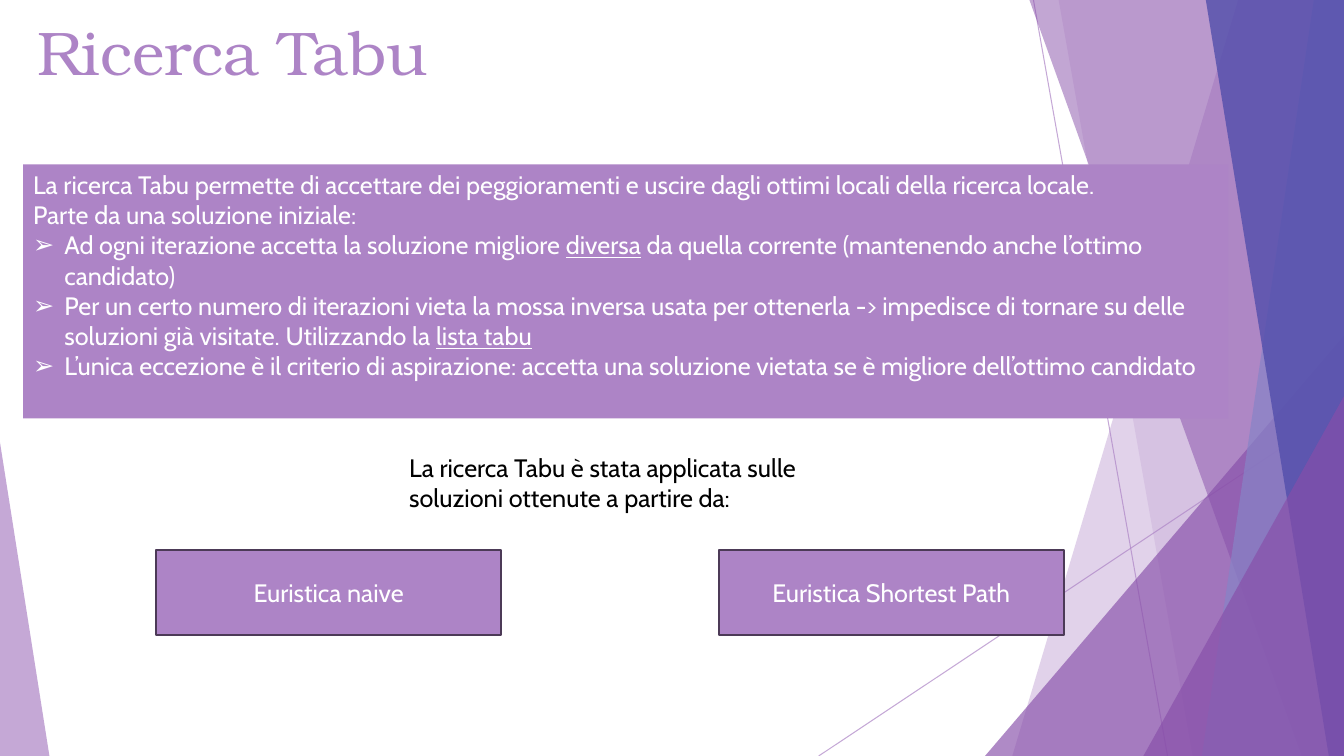
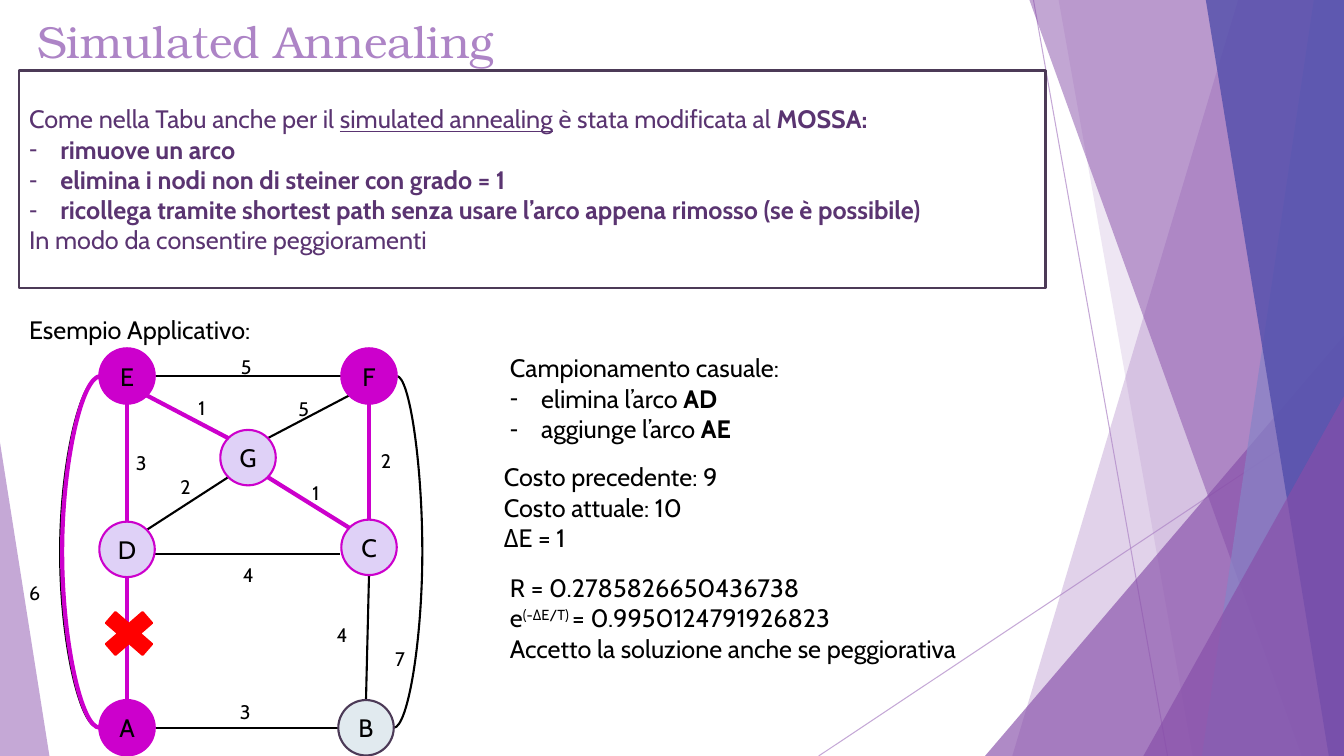
from lxml import etree
from pptx import Presentation
from pptx.dml.color import RGBColor
from pptx.enum.shapes import MSO_CONNECTOR, MSO_SHAPE
from pptx.enum.text import MSO_ANCHOR, MSO_AUTO_SIZE, PP_ALIGN
from pptx.oxml.ns import qn
from pptx.util import Inches, Pt

RECT, OVAL = MSO_SHAPE.RECTANGLE, MSO_SHAPE.OVAL
TRIANGLE, CROSS = MSO_SHAPE.ISOSCELES_TRIANGLE, MSO_SHAPE.MATH_MULTIPLY
STRAIGHT, CURVE = MSO_CONNECTOR.STRAIGHT, MSO_CONNECTOR.CURVE
TOP, MIDDLE = MSO_ANCHOR.TOP, MSO_ANCHOR.MIDDLE
LEFT, CENTER = PP_ALIGN.LEFT, PP_ALIGN.CENTER
NO_FIT = MSO_AUTO_SIZE.NONE

# Shared look
LILAC = RGBColor(0xAD, 0x84, 0xC6)
PURPLE = RGBColor(0x87, 0x4E, 0xA9)
BLUE = RGBColor(0x87, 0x84, 0xC7)
INDIGO = RGBColor(0x52, 0x4E, 0xAB)
PLUM = RGBColor(0x5A, 0x34, 0x71)
DARK = RGBColor(0x4C, 0x3A, 0x57)
MAGENTA = RGBColor(0xCC, 0x00, 0xCC)
PALE = RGBColor(0xDF, 0xD1, 0xF7)
GREY = RGBColor(0xE1, 0xEA, 0xEF)
RED = RGBColor(0xFF, 0, 0)
WHITE = RGBColor(0xFF, 0xFF, 0xFF)
BLACK = RGBColor(0, 0, 0)
HEAD, BODY = "TeX Gyre Bonum", "Cabin"
WIDE, HIGH = 13.33, 7.5
INDENT = 0.31

# Graph: node centres with fill and line, and the eight points on a rim
SIZE = 0.55
HALF, DIAG = SIZE / 2, 0.19
NODES = {
    "E": (1.26, 3.73, MAGENTA, MAGENTA),
    "F": (3.66, 3.73, MAGENTA, MAGENTA),
    "G": (2.46, 4.54, PALE, MAGENTA),
    "D": (1.26, 5.45, PALE, MAGENTA),
    "C": (3.66, 5.43, PALE, MAGENTA),
    "A": (1.26, 7.22, MAGENTA, MAGENTA),
    "B": (3.63, 7.22, GREY, DARK),
}
RIM = {
    "n": (0, -HALF), "s": (0, HALF), "w": (-HALF, 0), "e": (HALF, 0),
    "nw": (-DIAG, -DIAG), "ne": (DIAG, -DIAG),
    "sw": (-DIAG, DIAG), "se": (DIAG, DIAG),
}
PLAIN = ["Ee Fw", "Gsw Dne", "Fsw Gne", "Cs Bn", "Ae Bw"]
TREE = ["Es Dn", "Ese Gnw", "Gse Cnw", "Fs Cn", "Ds An"]
COSTS = [
    ("5", 2.29, 3.47), ("1", 1.87, 3.88), ("5", 2.86, 3.89),
    ("3", 1.25, 4.42), ("2", 1.69, 4.66), ("1", 3, 4.72),
    ("2", 3.68, 4.4), ("4", 2.31, 5.54), ("6", 0.19, 5.71),
    ("4", 3.24, 6.13), ("7", 3.82, 6.37), ("3", 2.28, 6.89),
]


def box(*sides):
    return [Inches(side) for side in sides]


def fade(shape, percent):
    for color in shape.element.iter(qn("a:srgbClr")):
        etree.SubElement(color, qn("a:alpha")).set("val", str(percent * 1000))


def paint(shape, fill, line=None):
    shape.shadow.inherit = False
    shape.fill.solid()
    shape.fill.fore_color.rgb = fill
    if line is None:
        shape.line.fill.background()
    else:
        shape.line.color.rgb = line
        shape.line.width = Pt(1.5)


def bullet(para, mark):
    props = para._p.get_or_add_pPr()
    props.set("marL", str(Inches(INDENT)))
    props.set("indent", str(-Inches(INDENT)))
    etree.SubElement(props, qn("a:buFont")).set("typeface", "Arial")
    etree.SubElement(props, qn("a:buChar")).set("char", mark)


def write(frame, rows, size=18, color=BLACK, font=BODY, align=LEFT, anchor=TOP):
    """Each row is (mark, run, ...); a run is text or (text, style: b, u or ^)."""
    frame.word_wrap = True
    frame.auto_size = NO_FIT
    frame.vertical_anchor = anchor
    for i, (mark, *runs) in enumerate(rows):
        para = frame.add_paragraph() if i else frame.paragraphs[0]
        para.alignment = align
        if mark:
            bullet(para, mark)
        for part in runs:
            text, style = (part, "") if isinstance(part, str) else part
            run = para.add_run()
            run.text = text
            run.font.name, run.font.size = font, Pt(size)
            run.font.color.rgb = color
            run.font.bold = "b" in style
            run.font.underline = "u" in style
            if "^" in style:
                run._r.get_or_add_rPr().set("baseline", "30000")


def note(shapes, place, rows, size=18):
    write(shapes.add_textbox(*box(*place)).text_frame, rows, size)


def panel(shapes, kind, place, fill, line=None):
    shape = shapes.add_shape(kind, *box(*place))
    paint(shape, fill, line)
    return shape


def link(shapes, start, end, color, width, kind=STRAIGHT):
    line = shapes.add_connector(kind, *box(*start, *end))
    line.line.color.rgb = color
    line.line.width = Pt(width)
    etree.SubElement(line.element.spPr, qn("a:effectLst"))
    return line


def arc(shapes, start, end, bulge, color, width):
    """Curve whose far side lies at x = bulge."""
    line = link(shapes, start, end, color, width, CURVE)
    ratio = (bulge - start[0]) / (end[0] - start[0])
    guides = line.element.spPr.find(qn("a:prstGeom")).get_or_add_avLst()
    guide = etree.SubElement(guides, qn("a:gd"))
    guide.set("name", "adj1")
    guide.set("fmla", f"val {round(ratio * 100000)}")


# Backdrop
def band(shapes, top, foot, color, percent):
    pen = shapes.build_freeform(Inches(top), 0)
    pen.add_line_segments(
        [box(WIDE, 0), box(WIDE, HIGH), box(foot, HIGH)], close=True)
    shape = pen.convert_to_shape()
    paint(shape, color)
    fade(shape, percent)


def wedge(shapes, left, top, width, tip, color, percent):
    shape = panel(shapes, TRIANGLE, (left, top, width, HIGH - top), color)
    shape.adjustments[0] = tip
    fade(shape, percent)


def backdrop(slide):
    """Draw the facets as one group and move it into the layout."""
    group = slide.shapes.add_group_shape()
    parts = group.shapes
    for start, end in [((10.25, 0), (11.58, HIGH)), ((WIDE, 4.03), (8.12, HIGH))]:
        fade(link(parts, start, end, LILAC, 0.75), 70)
    band(parts, 12.28, 10.04, LILAC, 36)
    band(parts, 10.5, 11.83, LILAC, 20)
    wedge(parts, 9.77, 3.33, 3.56, 1, PURPLE, 66)
    band(parts, 10.21, 12.91, PURPLE, 50)
    band(parts, 13.03, 11.92, BLUE, 70)
    band(parts, 11.96, 13.18, INDIGO, 80)
    wedge(parts, 11.34, 3.93, 1.99, 1, PURPLE, 66)
    wedge(parts, 0, 4.39, 0.49, 0, LILAC, 70)
    for number, props in enumerate(group.element.iter(qn("p:cNvPr")), 100):
        props.set("id", str(number))
    slide.slide_layout.shapes.element.insert(2, group.element)


def start(deck, title, size, height):
    slide = deck.slides.add_slide(deck.slide_layouts[5])
    head = slide.shapes.title
    head.left, head.top, head.width, head.height = box(0.27, 0.09, 9.4, height)
    write(head.text_frame, [("", title)], size, LILAC, HEAD)
    return slide


# Slide 1
def tabu(deck):
    slide = start(deck, "Ricerca Tabu", 44, 1.44)
    backdrop(slide)
    shapes = slide.shapes
    rules = panel(shapes, RECT, (0.23, 1.63, 11.95, 2.52), LILAC)
    write(rules.text_frame, [
        ("", "La ricerca Tabu permette di accettare dei peggioramenti e uscire "
             "dagli ottimi locali della ricerca locale."),
        ("", "Parte da una soluzione iniziale:"),
        ("➢", "Ad ogni iterazione accetta la soluzione migliore ", ("diversa", "u"),
         " da quella corrente (mantenendo anche l’ottimo candidato)"),
        ("➢", "Per un certo numero di iterazioni vieta la mossa inversa usata per "
              "ottenerla -> impedisce di tornare su delle soluzioni già visitate. "
              "Utilizzando la ", ("lista tabu", "u")),
        ("➢", "L’unica eccezione è il criterio di aspirazione: accetta una "
              "soluzione vietata se è migliore dell’ottimo candidato"),
    ], color=WHITE)
    for left, text in [(1.55, "Euristica naive"), (7.13, "Euristica Shortest Path")]:
        shape = panel(shapes, RECT, (left, 5.46, 3.42, 0.84), LILAC, DARK)
        write(shape.text_frame, [("", text)], color=WHITE, align=CENTER, anchor=MIDDLE)
    note(shapes, (3.96, 4.44, 4.48, 0.71), [
        ("", "La ricerca Tabu è stata applicata sulle soluzioni ottenute a partire da:")])


# Slide 2
def spot(code):
    x, y = NODES[code[0]][:2]
    dx, dy = RIM[code[1:]]
    return x + dx, y + dy


def edges(shapes, pairs, color, width):
    for pair in pairs:
        first, last = pair.split()
        link(shapes, spot(first), spot(last), color, width)


def graph(shapes):
    edges(shapes, PLAIN, BLACK, 1.5)
    link(shapes, (1.52, 5.5), (3.37, 5.5), BLACK, 1.5)
    arc(shapes, (0.99, 3.74), (0.98, 7.22), 0.59, BLACK, 1.5)
    arc(shapes, spot("Fe"), spot("Be"), 4.19, BLACK, 1.5)
    for name, (x, y, fill, line) in NODES.items():
        place = (x - HALF, y - HALF, SIZE, SIZE)
        node = panel(shapes, OVAL, place, fill, line)
        frame = node.text_frame
        frame.margin_left = frame.margin_right = 0
        write(frame, [("", name)], align=CENTER, anchor=MIDDLE)
    edges(shapes, TREE, MAGENTA, 3)
    for text, left, top in COSTS:
        note(shapes, (left, top, 0.69, 0.34), [("", text)], 14)
    panel(shapes, CROSS, (0.93, 5.98, 0.7, 0.61), RED, RED)
    arc(shapes, (1, 3.73), (0.99, 7.22), 0.61, MAGENTA, 3)


def anneal(deck):
    shapes = start(deck, "Simulated Annealing", 32, 0.71).shapes
    move = panel(shapes, RECT, (0.19, 0.7, 10.18, 2.16), WHITE, DARK)
    write(move.text_frame, [
        ("", "Come nella Tabu anche per il ", ("simulated annealing", "u"),
         " è stata modificata al ", ("MOSSA:", "b")),
        ("-", ("rimuove un arco", "b")),
        ("-", ("elimina i nodi non di steiner con grado = 1", "b")),
        ("-", ("ricollega tramite shortest path senza usare l’arco appena "
               "rimosso (se è possibile)", "b")),
        ("", "In modo da consentire peggioramenti"),
    ], color=PLUM, anchor=MIDDLE)
    note(shapes, (0.19, 3.07, 2.55, 0.4), [("", "Esempio Applicativo:")])
    graph(shapes)
    note(shapes, (4.96, 3.45, 5.93, 1.01), [
        ("", "Campionamento casuale:"),
        ("-", "elimina l’arco ", ("AD", "b")),
        ("-", "aggiunge l’arco ", ("AE", "b"))])
    note(shapes, (4.9, 4.53, 5.93, 1.01), [
        ("", "Costo precedente: 9"), ("", "Costo attuale: 10"), ("", "ΔE = 1")])
    note(shapes, (4.96, 5.63, 5.93, 1.01), [
        ("", "R = 0.2785826650436738"),
        ("", "e", ("(-ΔE/T) ", "^"), "= 0.9950124791926823"),
        ("", "Accetto la soluzione anche se peggiorativa")])


def main():
    deck = Presentation()
    deck.slide_width, deck.slide_height = box(WIDE, HIGH)
    tabu(deck)
    anneal(deck)
    deck.save("out.pptx")


if __name__ == "__main__":
    main()
